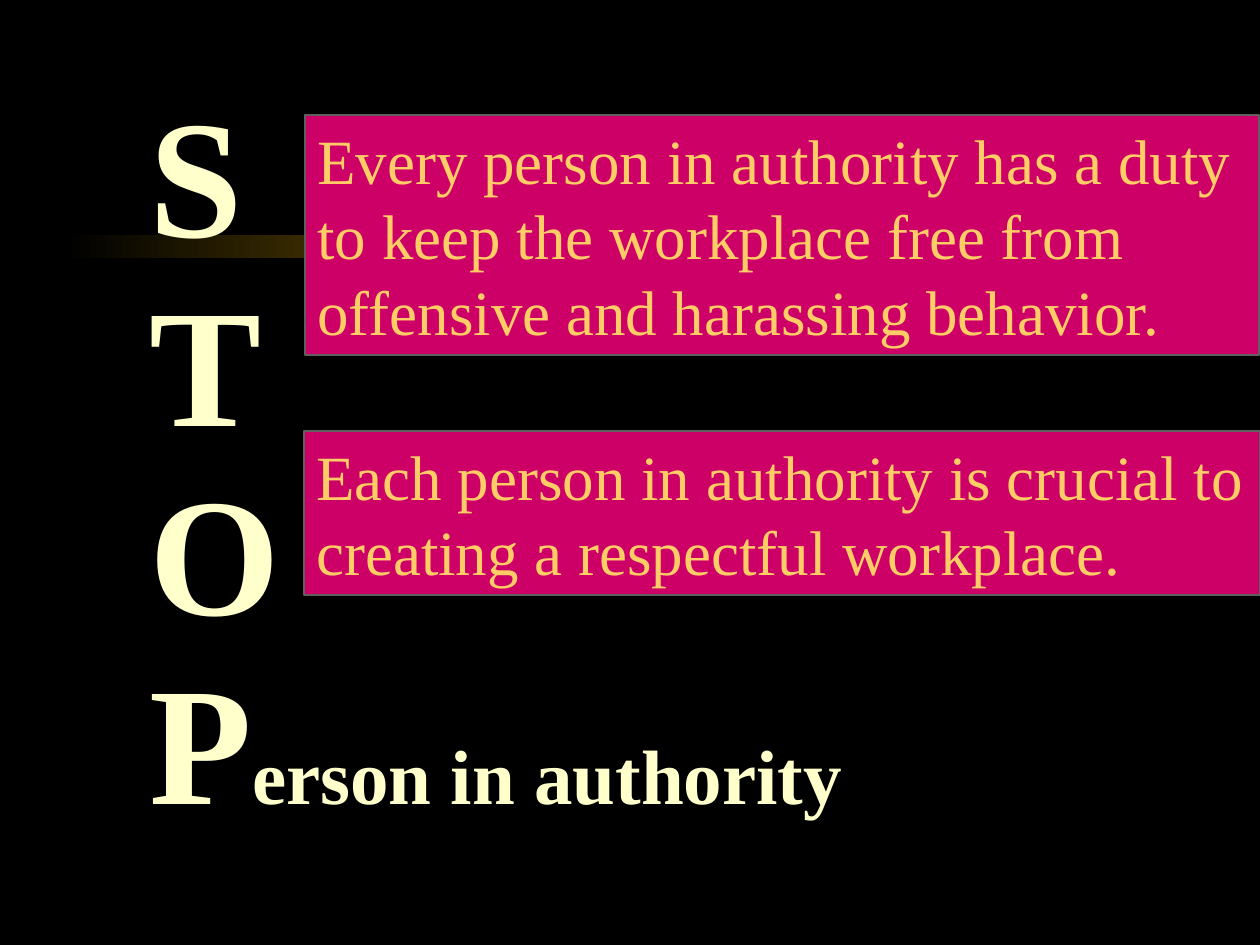
from pptx import Presentation, util as u
from pptx.dml.color import RGBColor
from pptx.enum import shapes, text

SCALE = u.Inches(1) // 126
COLORS = {"background": "000000", "glow": "FFBF00", "letter": "FFFFCC",
          "panel": "CC0066", "border": "5F5F5F", "message": "FFCC66"}
LETTERS = [("S", "", 118), ("T", "", 137), ("O", "", 155), ("P", "erson in authority", 760)]
PANELS = [
    ((305, 115, 954, 240), ["Every person in authority has a duty",
                            "to keep the workplace free from",
                            "offensive and harassing behavior."]),
    ((304, 431, 956, 164), ["Each person in authority is crucial to",
                            "creating a respectful workplace."]),
]
LETTER_LEFT, LETTER_TOP, LETTER_STEP, LETTER_HEIGHT = 137, 63, 189, 214
GLOW_BAR = (63, 235, 1091, 23)
LETTER_FORMAT = {"name": "Times New Roman", "size": u.Pt(96), "bold": True}
WORD_FORMAT = {**LETTER_FORMAT, "size": u.Pt(44)}
MESSAGE_FORMAT = {"name": "Times New Roman", "size": u.Pt(36), "bold": False}


def color(name):
    return RGBColor.from_string(COLORS[name])


def px(*lengths):
    return [length * SCALE for length in lengths]


def add_run(paragraph, words, format_values, color_name):
    run = paragraph.add_run()
    run.text = words
    for name, value in format_values.items():
        setattr(run.font, name, value)
    run.font.color.rgb = color(color_name)


def prepare_frame(shape):
    frame = shape.text_frame
    frame.word_wrap = True
    frame.vertical_anchor = text.MSO_ANCHOR.TOP
    return frame


def set_line(paragraph, size):
    paragraph.alignment = text.PP_ALIGN.LEFT
    paragraph.line_spacing = u.Pt(size * 1.2)


def add_glow_bar(slide):
    bar = slide.shapes.add_shape(shapes.MSO_SHAPE.ROUNDED_RECTANGLE, *px(*GLOW_BAR))
    bar.adjustments[0] = 0.5
    bar.shadow.inherit = False
    bar.line.fill.background()
    bar.fill.gradient()
    bar.fill.gradient_angle = 0
    for stop, name, position in zip(bar.fill.gradient_stops, ("background", "glow"), (0, 1)):
        stop.color.rgb = color(name)
        stop.position = position


def add_letter(slide, index, letter, rest, width):
    top = LETTER_TOP + index * LETTER_STEP
    box = slide.shapes.add_textbox(*px(LETTER_LEFT, top, width, LETTER_HEIGHT))
    paragraph = prepare_frame(box).paragraphs[0]
    set_line(paragraph, 96)
    add_run(paragraph, letter, LETTER_FORMAT, "letter")
    if rest:
        add_run(paragraph, rest, WORD_FORMAT, "letter")


def add_panel(slide, bounds, lines):
    panel = slide.shapes.add_shape(shapes.MSO_SHAPE.RECTANGLE, *px(*bounds))
    panel.shadow.inherit = False
    panel.fill.solid()
    panel.fill.fore_color.rgb = color("panel")
    panel.line.color.rgb = color("border")
    panel.line.width = u.Pt(0.75)
    frame = prepare_frame(panel)
    for index, line in enumerate(lines):
        paragraph = frame.add_paragraph() if index else frame.paragraphs[0]
        set_line(paragraph, 36)
        add_run(paragraph, line, MESSAGE_FORMAT, "message")


def main():
    presentation = Presentation()
    presentation.slide_width, presentation.slide_height = px(1260, 945)
    slide = presentation.slides.add_slide(presentation.slide_layouts[6])
    slide.background.fill.solid()
    slide.background.fill.fore_color.rgb = color("background")
    add_glow_bar(slide)
    for index, entry in enumerate(LETTERS):
        add_letter(slide, index, *entry)
    for bounds, lines in PANELS:
        add_panel(slide, bounds, lines)
    presentation.save("out.pptx")


if __name__ == "__main__":
    main()
